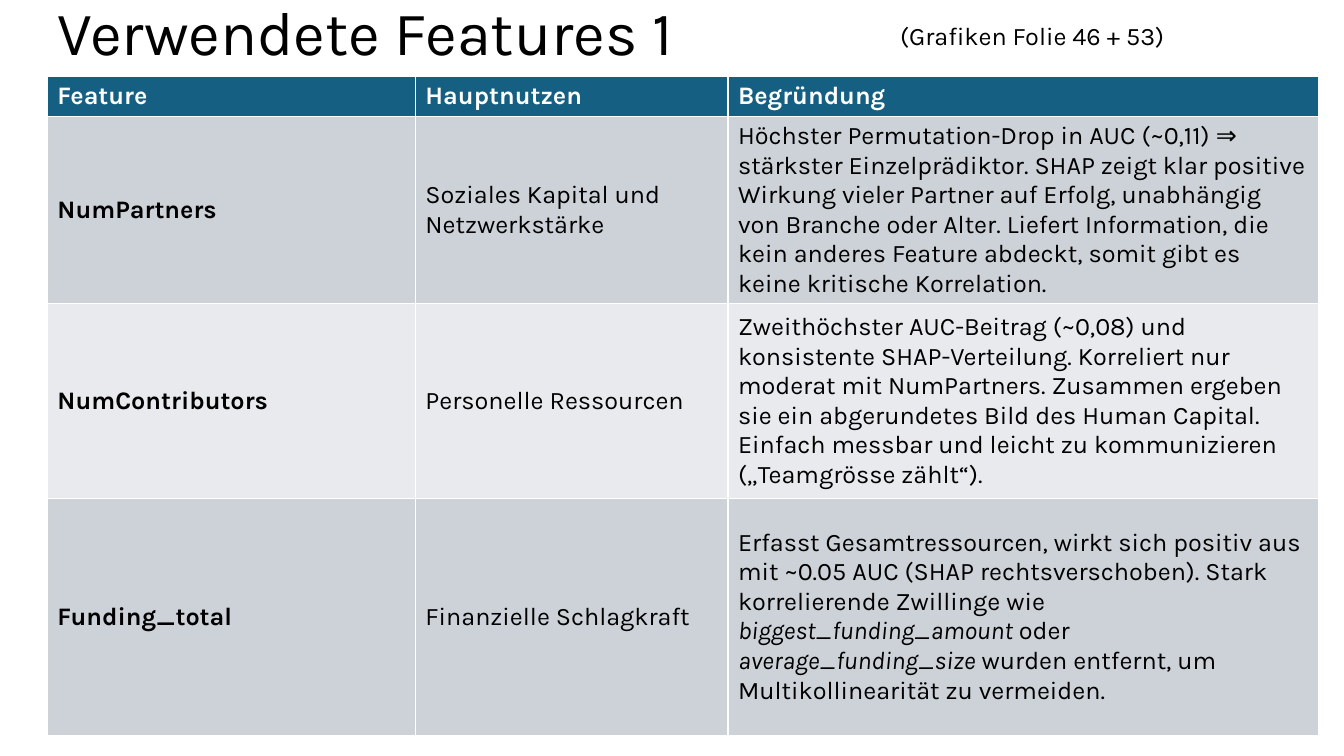
from pptx import Presentation
from pptx.dml.color import RGBColor
from pptx.enum.text import MSO_ANCHOR, MSO_AUTO_SIZE, PP_ALIGN
from pptx.util import Emu, Pt

MIDDLE = MSO_ANCHOR.MIDDLE
NO_AUTOFIT = MSO_AUTO_SIZE.NONE
GROW = MSO_AUTO_SIZE.SHAPE_TO_FIT_TEXT
LEFT = PP_ALIGN.LEFT

TITLE_ONLY = 5
FONT = "Karla"
BLACK, WHITE = "000000", "FFFFFF"
HEADER_FILL = "156082"
BAND_FILLS = ["CCD2D8", "E8EAED"]

COLUMN_WIDTHS = [365, 310, 586]
ROW_HEIGHTS = [39, 168, 193, 235]
HEADINGS = ["Feature", "Hauptnutzen", "Begründung"]

# Every second part of a reason, split at "*", is italic.
FEATURES = [
    ("NumPartners", "Soziales Kapital und Netzwerkstärke",
     "Höchster Permutation-Drop in AUC (~0,11) ⇒ stärkster Einzelprädiktor. "
     "SHAP zeigt klar positive Wirkung vieler Partner auf Erfolg, unabhängig von "
     "Branche oder Alter. Liefert Information, die kein anderes Feature abdeckt, "
     "somit gibt es keine kritische Korrelation."),
    ("NumContributors", "Personelle Ressourcen",
     "Zweithöchster AUC-Beitrag (~0,08) und konsistente SHAP-Verteilung. "
     "Korreliert nur moderat mit NumPartners. Zusammen ergeben sie ein "
     "abgerundetes Bild des Human Capital. Einfach messbar und leicht zu "
     "kommunizieren („Teamgrösse zählt“)."),
    ("Funding_total", "Finanzielle Schlagkraft",
     "Erfasst Gesamtressourcen, wirkt sich positiv aus mit ~0.05 AUC (SHAP "
     "rechtsverschoben). Stark korrelierende Zwillinge wie "
     "*biggest_funding_amount* oder *average_funding_size* wurden entfernt, "
     "um Multikollinearität zu vermeiden."),
]


def px(length):
    """Turn px, 100 to the inch, into EMU."""
    return Emu(length * 9144)


def rgb(hex_color):
    return RGBColor.from_string(hex_color)


def write(paragraph, text, size, color=BLACK, bold=False):
    """Fill a paragraph, with the parts between asterisks in italics."""
    for index, part in enumerate(text.split("*")):
        run = paragraph.add_run()
        run.text = part
        if index % 2:
            run.font.italic = True
    font = paragraph.font
    font.name, font.size, font.bold = FONT, Pt(size), bold
    font.color.rgb = rgb(color)


def set_title(slide, text):
    title = slide.shapes.title
    title.left, title.top = px(47), px(-37)
    title.width, title.height = px(1150), px(145)
    frame = title.text_frame
    frame.auto_size = NO_AUTOFIT
    frame.vertical_anchor = MIDDLE
    heading = frame.paragraphs[0]
    heading.alignment = LEFT
    heading.line_spacing = 0.9
    write(heading, text, 44)


def add_reference(slide, text):
    reference = slide.shapes.add_textbox(px(883), px(15), px(580), px(40))
    frame = reference.text_frame
    frame.word_wrap = True
    frame.auto_size = GROW
    write(frame.paragraphs[0], text, 18)


def fill_cell(cell, text, fill, color, bold):
    cell.fill.solid()
    cell.fill.fore_color.rgb = rgb(fill)
    cell.vertical_anchor = MIDDLE
    write(cell.text_frame.paragraphs[0], text, 18, color, bold)


def add_feature_table(slide):
    rows = [HEADINGS, *FEATURES]
    table = slide.shapes.add_table(
        len(rows), len(HEADINGS), px(47), px(76),
        px(sum(COLUMN_WIDTHS)), px(sum(ROW_HEIGHTS))).table
    for column, width in zip(table.columns, COLUMN_WIDTHS):
        column.width = px(width)
    for row, height in zip(table.rows, ROW_HEIGHTS):
        row.height = px(height)
    for r, texts in enumerate(rows):
        is_header = r == 0
        fill = HEADER_FILL if is_header else BAND_FILLS[(r - 1) % 2]
        color = WHITE if is_header else BLACK
        for c, text in enumerate(texts):
            fill_cell(table.cell(r, c), text, fill, color, is_header or c == 0)


def main():
    presentation = Presentation()
    presentation.slide_width, presentation.slide_height = px(1333), px(750)
    slide = presentation.slides.add_slide(presentation.slide_layouts[TITLE_ONLY])
    set_title(slide, "Verwendete Features 1")
    add_feature_table(slide)
    add_reference(slide, "(Grafiken Folie 46 + 53)")
    presentation.save("out.pptx")


if __name__ == "__main__":
    main()
